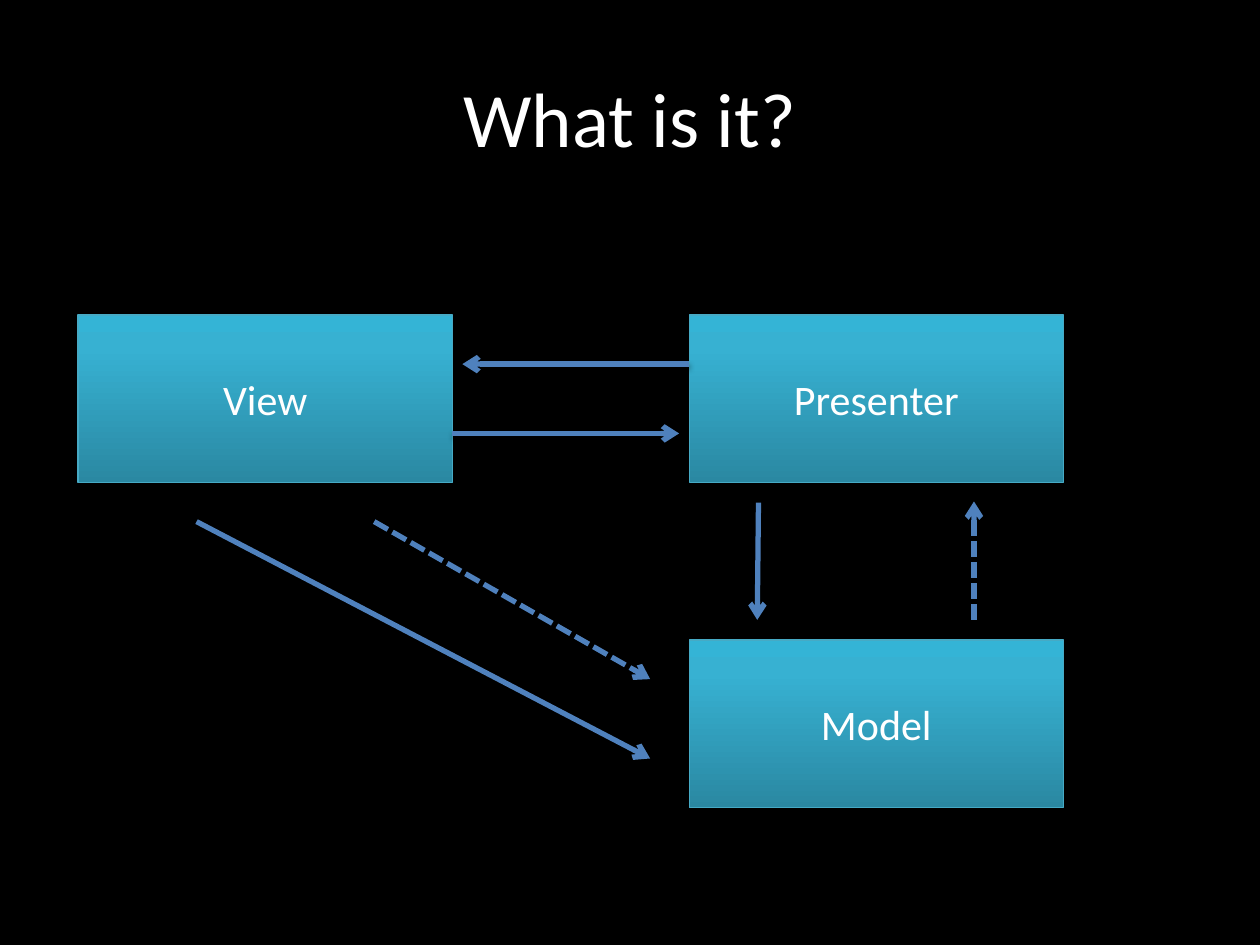
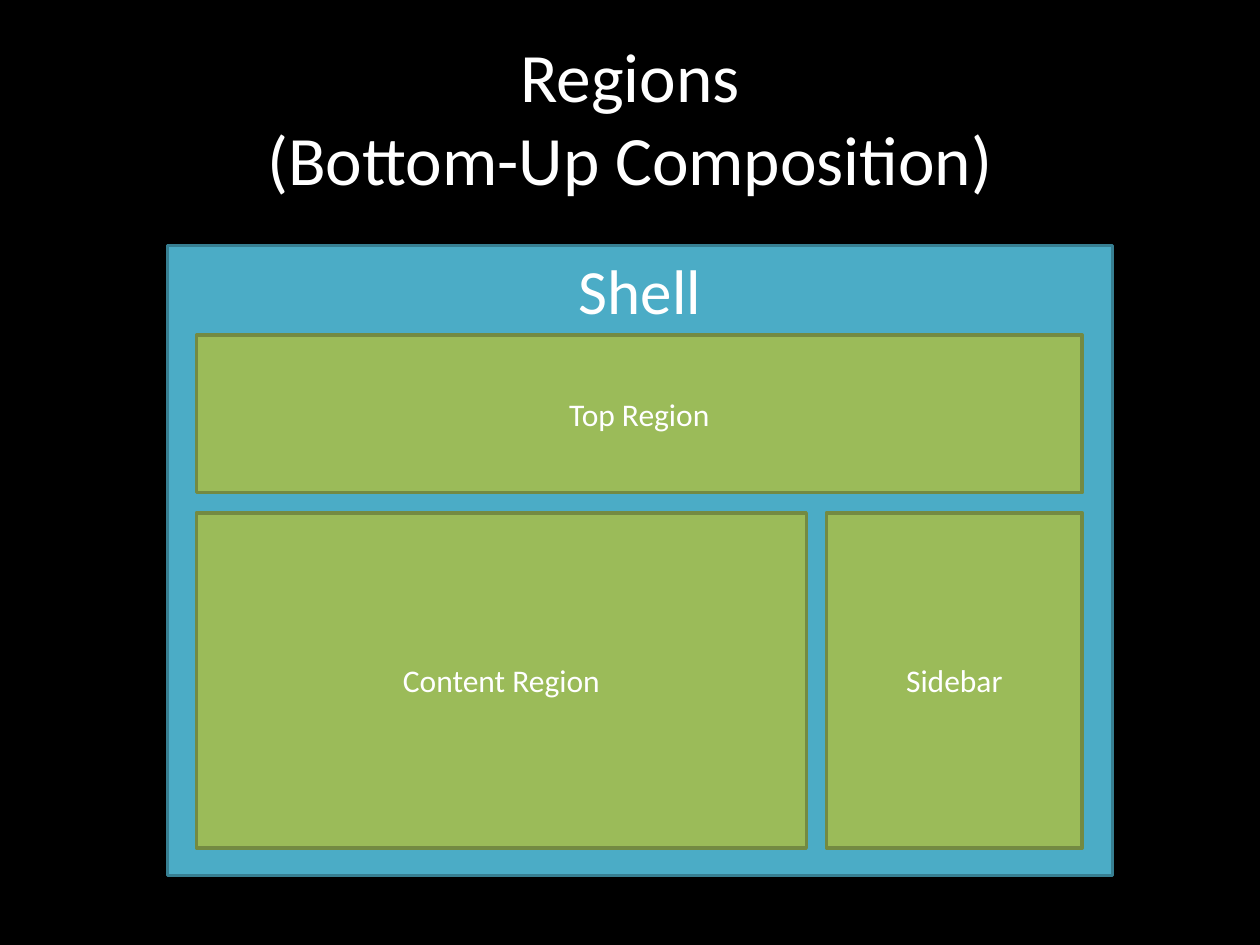
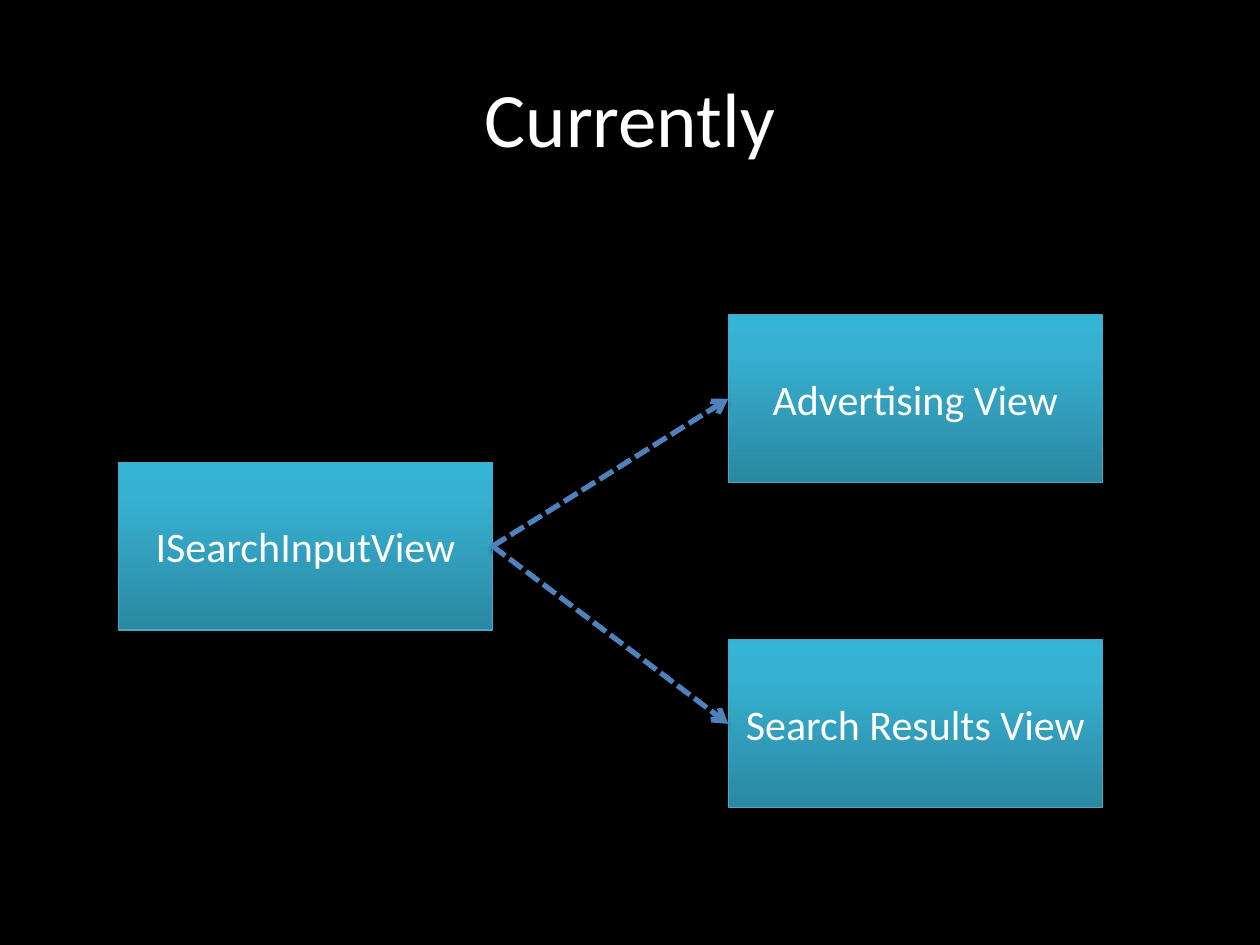
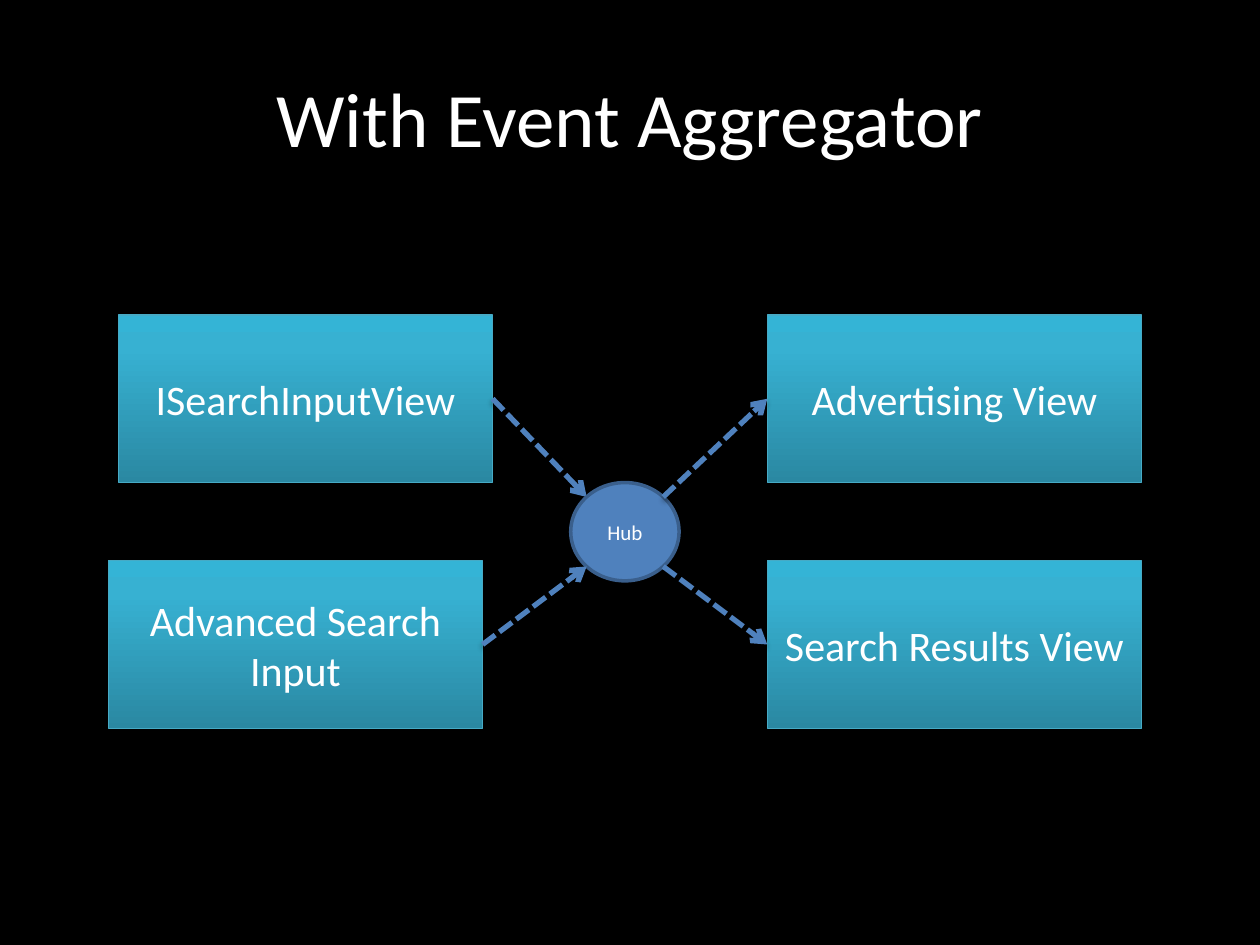
from copy import deepcopy
from dataclasses import dataclass
from math import sqrt

from lxml import etree
from pptx import Presentation
from pptx.dml.color import RGBColor
from pptx.enum.dml import MSO_LINE
from pptx.enum.shapes import MSO_CONNECTOR, MSO_SHAPE
from pptx.enum.text import MSO_ANCHOR, MSO_AUTO_SIZE, PP_ALIGN
from pptx.oxml.ns import qn
from pptx.util import Inches, Pt

RECTANGLE = MSO_SHAPE.RECTANGLE
OVAL = MSO_SHAPE.OVAL
STRAIGHT = MSO_CONNECTOR.STRAIGHT
DASH = MSO_LINE.SQUARE_DOT
TOP, MIDDLE = MSO_ANCHOR.TOP, MSO_ANCHOR.MIDDLE
CENTER = PP_ALIGN.CENTER
NO_AUTOFIT = MSO_AUTO_SIZE.NONE

COLORS = {
    "background": "000000",
    "text": "FFFFFF",
    "box_edge": "46AAC5",
    "shell": "4BACC6",
    "shell_edge": "377F92",
    "region": "9BBB59",
    "region_edge": "738A42",
    "arrow": "4F81BD",
    "hub": "4F81BD",
    "hub_edge": "3A5F8C",
    "shadow": "000000",
    "box_bottom": "2A88A2",
    "box_upper": "37B1D2",
    "box_top": "34B4D6",
}
BOX_GRADIENT = [("box_bottom", 0), ("box_upper", 0.8), ("box_top", 1)]
FONT = "Calibri"
BOX_WIDTH, BOX_HEIGHT = 2.97, 1.33
UPPER_ROW = 2.5

Point = tuple[float, float]


@dataclass(frozen=True)
class Box:
    label: str
    left: float
    top: float
    width: float = BOX_WIDTH
    height: float = BOX_HEIGHT
    fill: str | None = None
    edge: str = "box_edge"
    edge_width: float = 0.75
    size: float = 24
    anchor: int = MIDDLE
    form: int = RECTANGLE

    def point(self, across: float, down: float) -> Point:
        return self.left + self.width * across, self.top + self.height * down

    @property
    def left_middle(self) -> Point:
        return self.point(0, 0.5)

    @property
    def right_middle(self) -> Point:
        return self.point(1, 0.5)


@dataclass(frozen=True)
class Arrow:
    start: Point
    end: Point
    dashed: bool = True


def color(name: str) -> RGBColor:
    return RGBColor.from_string(COLORS[name])


def format_text(frame, size: float, anchor) -> None:
    frame.word_wrap = True
    frame.auto_size = NO_AUTOFIT
    frame.vertical_anchor = anchor
    for paragraph in frame.paragraphs:
        paragraph.alignment = CENTER
        for run in paragraph.runs:
            run.font.name = FONT
            run.font.size = Pt(size)
            run.font.color.rgb = color("text")


def add_shadow(properties) -> None:
    effects = properties.find(qn("a:effectLst"))
    if effects is None:
        effects = etree.SubElement(properties, qn("a:effectLst"))
    shadow = etree.SubElement(
        effects, qn("a:outerShdw"), blurRad=str(Pt(3.1)), dist=str(Pt(1.8)),
        dir="5400000", rotWithShape="0")
    tint = etree.SubElement(shadow, qn("a:srgbClr"), val=COLORS["shadow"])
    etree.SubElement(tint, qn("a:alpha"), val="35000")


def fill_with_gradient(shape) -> None:
    shape.fill.gradient()
    shape.fill.gradient_angle = 90
    stops = shape._element.spPr.find(".//" + qn("a:gsLst"))
    stops.append(deepcopy(stops[-1]))
    for stop, (name, position) in zip(shape.fill.gradient_stops, BOX_GRADIENT):
        stop.color.rgb = color(name)
        stop.position = position


def draw_box(slide, box: Box) -> None:
    shape = slide.shapes.add_shape(
        box.form, Inches(box.left), Inches(box.top), Inches(box.width), Inches(box.height))
    shape.shadow.inherit = False
    shape.line.color.rgb = color(box.edge)
    shape.line.width = Pt(box.edge_width)
    if box.fill:
        shape.fill.solid()
        shape.fill.fore_color.rgb = color(box.fill)
    else:
        fill_with_gradient(shape)
        add_shadow(shape._element.spPr)
    shape.text_frame.text = box.label
    format_text(shape.text_frame, box.size, box.anchor)


def draw_arrow(slide, arrow: Arrow) -> None:
    ends = [Inches(length) for length in (*arrow.start, *arrow.end)]
    connector = slide.shapes.add_connector(STRAIGHT, *ends)
    connector.line.color.rgb = color("arrow")
    connector.line.width = Pt(3)
    if arrow.dashed:
        connector.line.dash_style = DASH
    properties = connector._element.spPr
    etree.SubElement(properties.find(qn("a:ln")), qn("a:tailEnd"), type="arrow")
    add_shadow(properties)


def add_slide(prs, title: str, parts: list[Box | Arrow], title_size: float = 44) -> None:
    slide = prs.slides.add_slide(prs.slide_layouts.get_by_name("Title Only"))
    heading = slide.shapes.title
    heading.left, heading.top = Inches(0.5), Inches(0.3)
    heading.width, heading.height = Inches(9), Inches(1.25)
    heading.text_frame.text = title
    format_text(heading.text_frame, title_size, MIDDLE)
    for part in parts:
        if isinstance(part, Box):
            draw_box(slide, part)
        else:
            draw_arrow(slide, part)


def pattern_parts() -> list[Box | Arrow]:
    model = Box("Model", 5.47, 5.08)
    presenter = Box("Presenter", 5.47, UPPER_ROW)
    view = Box("View", 0.62, UPPER_ROW)
    return [
        model, presenter, view,
        Arrow((5.47, 2.89), (3.67, 2.89), dashed=False),
        Arrow((3.59, 3.44), (5.39, 3.44), dashed=False),
        Arrow((6.02, 3.99), (6.01, 4.92), dashed=False),
        Arrow((7.73, 4.92), (7.73, 3.98)),
        Arrow((1.56, 4.14), (5.16, 6.02), dashed=False),
        Arrow((2.97, 4.14), (5.16, 5.39)),
    ]


def region_parts() -> list[Box | Arrow]:
    left, top, width, gap = 1.56, 2.66, 7.03, 0.16
    top_height, lower_height, sidebar_width = 1.25, 2.66, 2.03
    lower_top = top + top_height + gap
    content_width = width - sidebar_width - gap

    def region(label: str, x: float, y: float, w: float, h: float) -> Box:
        return Box(label, x, y, w, h, "region", "region_edge", 2, 18)

    return [
        Box("Shell", 1.33, 1.95, 7.5, 5, "shell", "shell_edge", 2, 36, TOP),
        region("Top Region", left, top, width, top_height),
        region("Content Region", left, lower_top, content_width, lower_height),
        region("Sidebar", left + content_width + gap, lower_top, sidebar_width, lower_height),
    ]


def current_parts() -> list[Box | Arrow]:
    results = Box("Search Results View", 5.78, 5.08)
    advertising = Box("Advertising View", 5.78, UPPER_ROW)
    search = Box("ISearchInputView", 0.94, 3.67)
    return [results, advertising, search] + [
        Arrow(search.right_middle, target.left_middle) for target in (advertising, results)]


def aggregator_parts() -> list[Box | Arrow]:
    lower_row = 4.45
    results = Box("Search Results View", 6.09, lower_row)
    advertising = Box("Advertising View", 6.09, UPPER_ROW)
    search = Box("ISearchInputView", 0.94, UPPER_ROW)
    advanced = Box("Advanced Search Input", 0.86, lower_row)
    hub = Box("Hub", 4.53, 3.83, 0.86, 0.78, "hub", "hub_edge", 2, 12, form=OVAL)
    near = 0.5 - sqrt(2) / 4
    far = 1 - near
    return [
        results, advertising, search,
        Arrow(search.right_middle, hub.point(near, near)),
        advanced, hub,
        Arrow(advanced.right_middle, hub.point(near, far)),
        Arrow(hub.point(far, far), results.left_middle),
        Arrow(hub.point(far, near), advertising.left_middle),
    ]


def main() -> None:
    prs = Presentation()
    prs.slide_width, prs.slide_height = Inches(10), Inches(7.5)
    backdrop = prs.slide_master.background.fill
    backdrop.solid()
    backdrop.fore_color.rgb = color("background")
    add_slide(prs, "What is it?", pattern_parts())
    add_slide(prs, "Regions\v(Bottom-Up Composition)", region_parts(), 39.6)
    add_slide(prs, "Currently", current_parts())
    add_slide(prs, "With Event Aggregator", aggregator_parts())
    prs.save("out.pptx")


if __name__ == "__main__":
    main()
